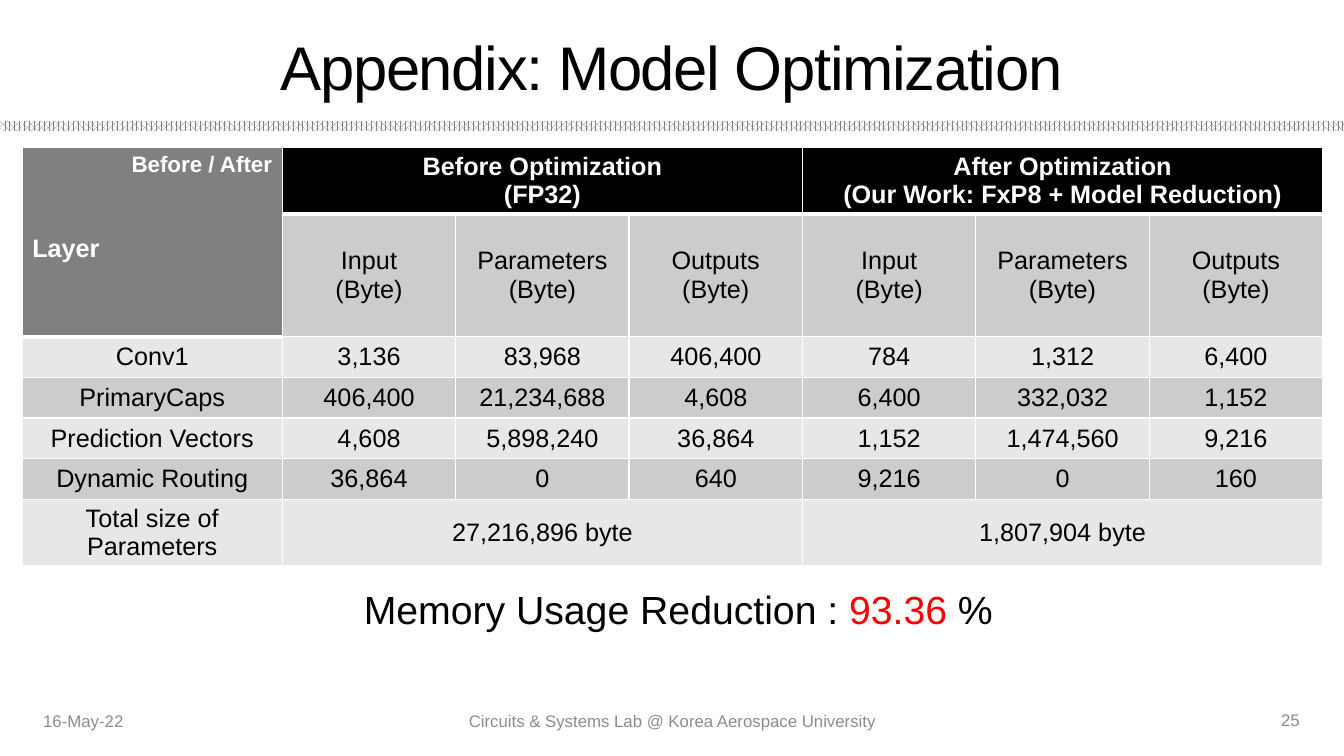
from lxml.etree import SubElement
from pptx import Presentation
from pptx.dml.color import RGBColor
from pptx.enum.dml import MSO_PATTERN as Pattern
from pptx.enum.shapes import MSO_SHAPE as Shape
from pptx.enum.text import MSO_ANCHOR as Anchor, MSO_AUTO_SIZE as AutoSize, PP_ALIGN as Align
from pptx.oxml.ns import qn
from pptx.util import Inches, Pt

BLACK = RGBColor(0x00, 0x00, 0x00)
WHITE = RGBColor(0xFF, 0xFF, 0xFF)
RED = RGBColor(0xFF, 0x00, 0x00)
GRAY = RGBColor(0x80, 0x80, 0x80)
FOOTER_GRAY = RGBColor(0x8C, 0x8C, 0x8C)
DARK_BAND = RGBColor(0xCC, 0xCC, 0xCC)
LIGHT_BAND = RGBColor(0xE7, 0xE7, 0xE7)

GRID_COLUMNS = 133.3
GRID_ROWS = 75
FONT = "Arial"
TABLE_SIZE = 18

COLUMN_WIDTHS = [25.8] + [17.2] * 6
ROW_HEIGHTS = [6.5, 12.2] + [4.04] * 4 + [6.5]
BEFORE_START, AFTER_START = 1, 4
MEASURES = ["Input\n(Byte)", "Parameters\n(Byte)", "Outputs\n(Byte)"]
LAYERS = [
    ["Conv1", "3,136", "83,968", "406,400", "784", "1,312", "6,400"],
    ["PrimaryCaps", "406,400", "21,234,688", "4,608", "6,400", "332,032", "1,152"],
    ["Prediction Vectors", "4,608", "5,898,240", "36,864", "1,152", "1,474,560", "9,216"],
    ["Dynamic Routing", "36,864", "0", "640", "9,216", "0", "160"],
]
ROWS = [
    ["Before / After\nLayer", "Before Optimization\n(FP32)", "", "",
     "After Optimization\n(Our Work: FxP8 + Model Reduction)", "", ""],
    [""] + MEASURES * 2,
    *LAYERS,
    ["Total size of Parameters", "27,216,896 byte", "", "", "1,807,904 byte", "", ""],
]


class SlideBuilder:
    def __init__(self, presentation):
        self.slide = presentation.slides.add_slide(presentation.slide_layouts[6])
        self.column = presentation.slide_width / GRID_COLUMNS
        self.row = presentation.slide_height / GRID_ROWS

    def place(self, left, top, width, height):
        return (round(left * self.column), round(top * self.row),
                round(width * self.column), round(height * self.row))

    def style_run(self, run, size, color, bold=False):
        run.font.name = FONT
        run.font.size = Pt(size)
        run.font.color.rgb = color
        run.font.bold = bold

    def pattern_band(self, *area):
        band = self.slide.shapes.add_shape(Shape.RECTANGLE, *self.place(*area))
        band.shadow.inherit = False
        band.fill.patterned()
        band.fill.pattern = Pattern.PERCENT_70
        band.fill.fore_color.rgb = GRAY
        band.fill.back_color.rgb = WHITE
        band.line.fill.background()

    def text(self, area, pieces, size, align=Align.LEFT, anchor=Anchor.MIDDLE,
             wrap=True, spacing=None):
        box = self.slide.shapes.add_textbox(*self.place(*area))
        frame = box.text_frame
        frame.word_wrap = wrap
        frame.auto_size = AutoSize.NONE if wrap else AutoSize.SHAPE_TO_FIT_TEXT
        frame.vertical_anchor = anchor
        paragraph = frame.paragraphs[0]
        paragraph.alignment = align
        for content, color in pieces:
            run = paragraph.add_run()
            run.text = content
            self.style_run(run, size, color)
            if spacing:
                run.font._element.set("spc", str(spacing * 100))

    def border(self, cell, side, points):
        line = SubElement(cell._tc.get_or_add_tcPr(), qn(f"a:ln{side}"), w=str(Pt(points)))
        fill = SubElement(line, qn("a:solidFill"))
        SubElement(fill, qn("a:srgbClr"), val=str(WHITE))

    def cell(self, cell, content, fill, color, bold, anchor, thick_sides):
        for side in "LRTB":
            self.border(cell, side, 3 if side in thick_sides else 1)
        cell.fill.solid()
        cell.fill.fore_color.rgb = fill
        cell.vertical_anchor = anchor
        cell.text_frame.text = content
        for paragraph in cell.text_frame.paragraphs:
            paragraph.alignment = Align.CENTER
            for run in paragraph.runs:
                self.style_run(run, TABLE_SIZE, color, bold)

    def table(self, left, top):
        area = self.place(left, top, sum(COLUMN_WIDTHS), sum(ROW_HEIGHTS))
        table = self.slide.shapes.add_table(len(ROWS), len(COLUMN_WIDTHS), *area).table
        table.first_row = table.horz_banding = False
        for column, width in zip(table.columns, COLUMN_WIDTHS):
            column.width = round(width * self.column)
        for row, height in zip(table.rows, ROW_HEIGHTS):
            row.height = round(height * self.row)
        for row_index, contents in enumerate(ROWS):
            for column_index, content in enumerate(contents):
                corner = column_index == 0 and row_index < 2
                header = row_index == 0 or corner
                band = LIGHT_BAND if row_index % 2 == 0 else DARK_BAND
                fill = GRAY if corner else BLACK if header else band
                first_body_row = 2 if column_index == 0 else 1
                thick_sides = "B" if header else "T" if row_index == first_body_row else ""
                self.cell(table.cell(row_index, column_index), content, fill,
                          WHITE if header else BLACK, header,
                          Anchor.TOP if header else Anchor.MIDDLE, thick_sides)
        table.cell(0, 0).merge(table.cell(1, 0))
        for row_index in (0, len(ROWS) - 1):
            for start in (BEFORE_START, AFTER_START):
                table.cell(row_index, start).merge(table.cell(row_index, start + 2))
        axis, layer = table.cell(0, 0).text_frame.paragraphs
        axis.alignment = Align.RIGHT
        axis.runs[0].font.size = Pt(16)
        layer.alignment = Align.LEFT
        layer.space_before = Pt(41)


def main():
    presentation = Presentation()
    presentation.slide_width = Inches(13.33)
    presentation.slide_height = Inches(7.5)
    builder = SlideBuilder(presentation)
    builder.pattern_band(0, 12, GRID_COLUMNS, 1)
    footers = [
        ((3.3, 69.5, 30, 4), "16-May-22", Align.LEFT),
        ((44.2, 69.5, 45, 4), "Circuits & Systems Lab @ Korea Aerospace University", Align.CENTER),
        ((99.5, 69.4, 30.4, 4), "25", Align.RIGHT),
    ]
    for area, content, align in footers:
        builder.text(area, [(content, FOOTER_GRAY)], 12, align)
    builder.text((3.3, 2.2, 126.6, 8.7), [("Appendix: Model Optimization", BLACK)], 44,
                 Align.CENTER, spacing=-1)
    builder.table(2.2, 14.6)
    builder.text((35.1, 57.6, 65.2, 5.7),
                 [("Memory Usage Reduction : ", BLACK), ("93.36", RED), (" %", BLACK)],
                 28, anchor=Anchor.TOP, wrap=False)
    presentation.save("out.pptx")


if __name__ == "__main__":
    main()
